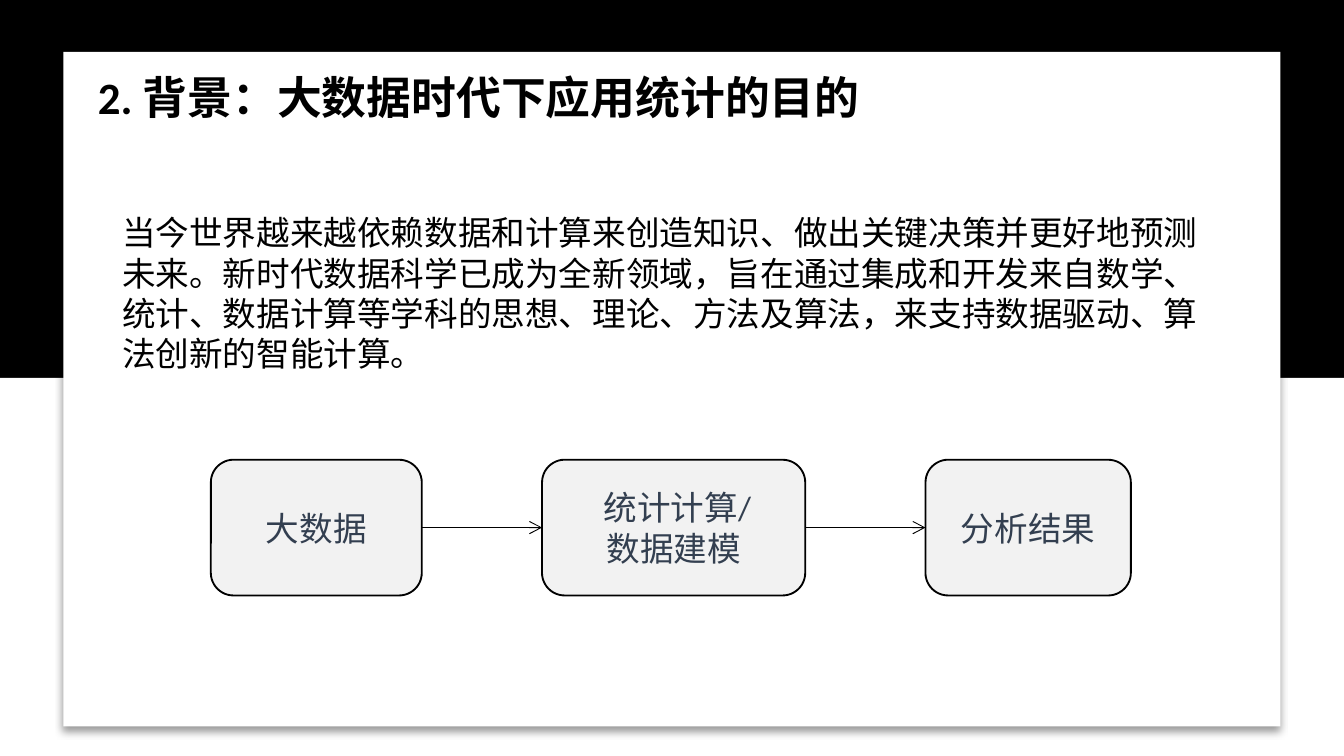
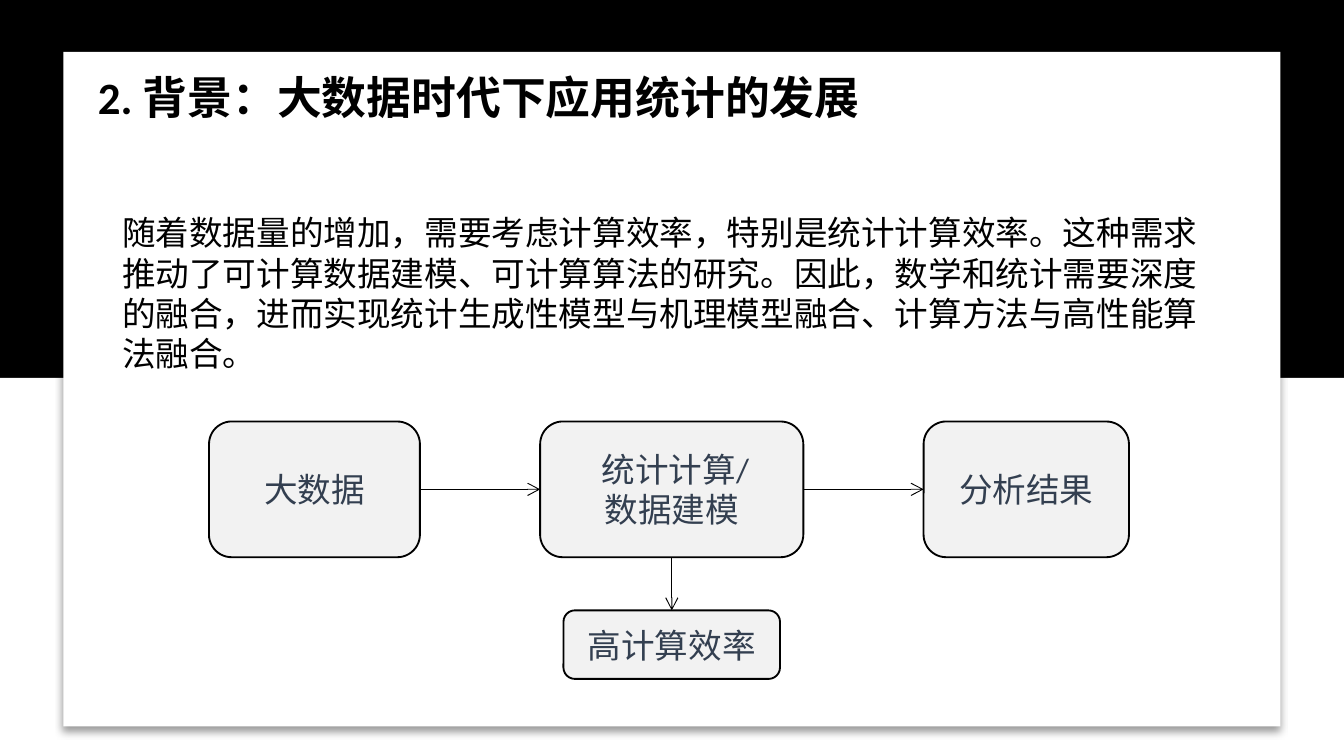
import pptx
import pptx.dml.color
import pptx.enum.shapes
import pptx.enum.text
import pptx.oxml
import pptx.oxml.ns
import pptx.util

Pt = pptx.util.Pt
RGB = pptx.dml.color.RGBColor.from_string
SHAPE = pptx.enum.shapes.MSO_SHAPE
ALIGN = pptx.enum.text.PP_ALIGN
qn = pptx.oxml.ns.qn
NS = pptx.oxml.ns.nsdecls("a")

COLORS = {"black": "000000", "white": "FFFFFF", "box": "F2F2F2", "label": "333F50"}
CJK_FONT = "Noto Sans CJK SC"
SHADOW = (f'<a:outerShdw {NS} blurRad="50800" dist="38100" dir="5400000" algn="t" rotWithShape="0">'
          f'<a:srgbClr val="{COLORS["black"]}"><a:alpha val="40000"/></a:srgbClr></a:outerShdw>')

BOX_HEIGHT, GAP = 72.7, 64.4
STEPS = [("大数据", 113), (" 统计计算/\n数据建模", 141), ("分析结果", 110)]
EFFICIENCY = ("高计算效率", 116, 36.7, 28.5)  # label, width, height, gap above

SLIDES = [
    {"title": "2. 背景：大数据时代下应用统计的目的",
     "body": "当今世界越来越依赖数据和计算来创造知识、做出关键决策并更好地预测未来。"
             "新时代数据科学已成为全新领域，旨在通过集成和开发来自数学、统计、数据计算等学科的"
             "思想、理论、方法及算法，来支持数据驱动、算法创新的智能计算。",
     "flow": (113, 246.3), "efficiency": False},
    {"title": "2. 背景：大数据时代下应用统计的发展",
     "body": "随着数据量的增加，需要考虑计算效率，特别是统计计算效率。"
             "这种需求推动了可计算数据建模、可计算算法的研究。因此，数学和统计需要深度的融合，"
             "进而实现统计生成性模型与机理模型融合、计算方法与高性能算法融合。",
     "flow": (112, 225.8), "efficiency": True},
]


def add_box(slide, shape, left, top, width, height, fill, text="", line=None):
    s = slide.shapes.add_shape(shape, Pt(left), Pt(top), Pt(width), Pt(height))
    s.shadow.inherit = False
    s.fill.solid()
    s.fill.fore_color.rgb = RGB(COLORS[fill])
    if line:
        s.line.color.rgb = RGB(COLORS[line])
        s.line.width = Pt(1)
    else:
        s.line.fill.background()
    if text:
        write(s.text_frame, text, 18, "Calibri", "label", ALIGN.CENTER)
    return s


def write(tf, text, size, font, color, align=ALIGN.LEFT, bold=False):
    tf.word_wrap = True
    tf.text = text
    for p in tf.paragraphs:
        p.alignment = align
        p.font.size = Pt(size)
        p.font.bold = bold
        p.font.color.rgb = RGB(COLORS[color])
        p.font.name = font
        latin = p._p.pPr.find(qn("a:defRPr")).find(qn("a:latin"))
        latin.addnext(pptx.oxml.parse_xml(f'<a:ea {NS} typeface="{CJK_FONT}"/>'))


prs = pptx.Presentation()
prs.slide_width, prs.slide_height = Pt(720), Pt(405)

for content in SLIDES:
    slide = prs.slides.add_slide(prs.slide_layouts[6])

    # Black background, white lower band and shadowed card
    slide.background.fill.solid()
    slide.background.fill.fore_color.rgb = RGB(COLORS["black"])
    add_box(slide, SHAPE.RECTANGLE, 0, 202.5, 720, 202.5, "white")
    card = add_box(slide, SHAPE.RECTANGLE, 34, 27.8, 652, 361.4, "white")
    card._element.spPr.find(qn("a:effectLst")).append(pptx.oxml.parse_xml(SHADOW))

    # Title and body text
    for text, place, size, font, bold in [
        (content["title"], (45.4, 33.8, 499, 65.5), 24, "Calibri", True),
        (content["body"], (58.3, 110.2, 603.4, 94.3), 18, CJK_FONT, False),
    ]:
        tf = slide.shapes.add_textbox(*map(Pt, place)).text_frame
        write(tf, text, size, font, "black", bold=bold)
        tf.auto_size = pptx.enum.text.MSO_AUTO_SIZE.SHAPE_TO_FIT_TEXT

    # Row of steps
    left, top = content["flow"]
    steps = []
    for label, width in STEPS:
        steps.append(add_box(slide, SHAPE.ROUNDED_RECTANGLE, left, top, width, BOX_HEIGHT,
                             "box", label, "black"))
        left += width + GAP
    links = [(a, 3, b, 1) for a, b in zip(steps, steps[1:])]

    # Efficiency box under the middle step
    if content["efficiency"]:
        label, width, height, drop = EFFICIENCY
        center = steps[1].left.pt + steps[1].width.pt / 2
        result = add_box(slide, SHAPE.ROUNDED_RECTANGLE, center - width / 2,
                         top + BOX_HEIGHT + drop, width, height, "box", label, "black")
        links.append((steps[1], 2, result, 0))

    # Arrows between the boxes
    for start, start_side, end, end_side in links:
        c = slide.shapes.add_connector(pptx.enum.shapes.MSO_CONNECTOR.STRAIGHT, 0, 0, 0, 0)
        c.begin_connect(start, start_side)
        c.end_connect(end, end_side)
        c.line.color.rgb = RGB(COLORS["black"])
        c.line.width = Pt(0.5)
        c.line._get_or_add_ln().append(pptx.oxml.parse_xml(f'<a:tailEnd {NS} type="arrow"/>'))
        c._element.spPr.append(pptx.oxml.parse_xml(f"<a:effectLst {NS}/>"))

prs.save("out.pptx")
